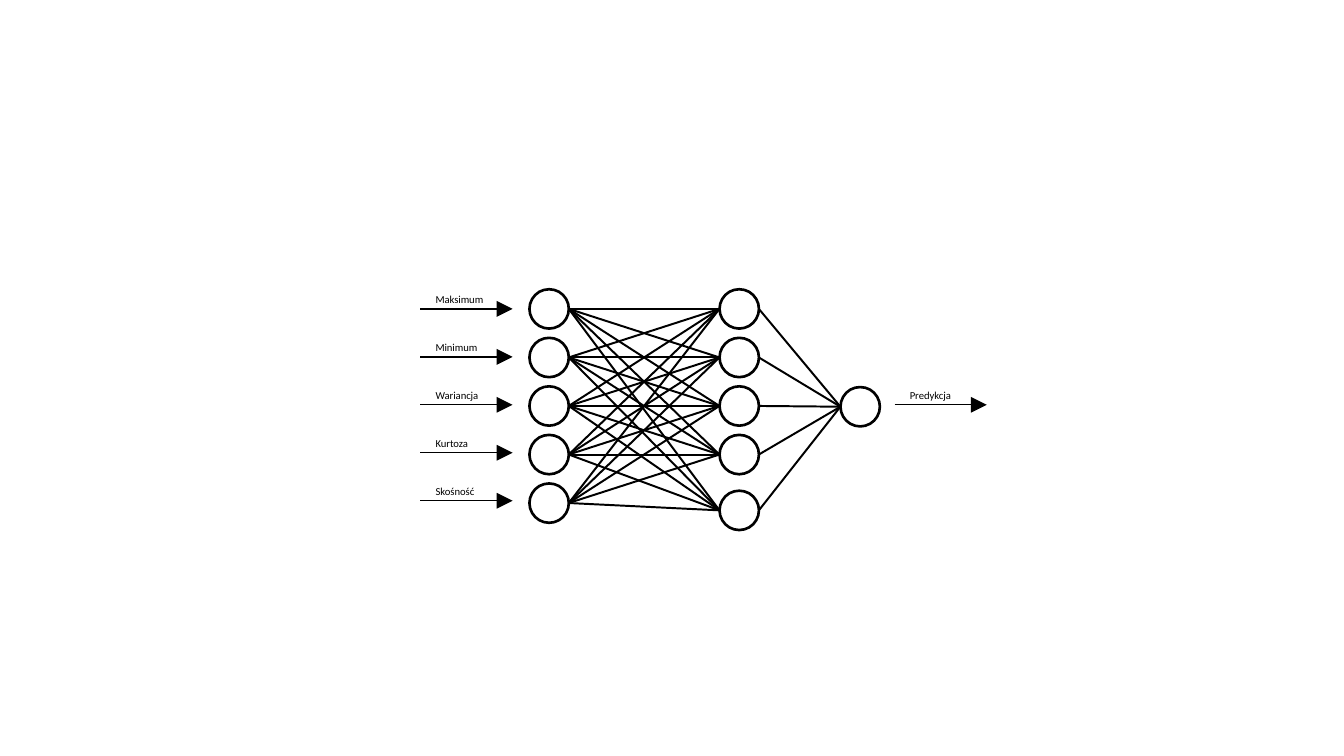
from dataclasses import dataclass

from lxml.etree import SubElement
from pptx import Presentation
from pptx.dml.color import RGBColor
from pptx.enum.shapes import MSO_CONNECTOR as Connector, MSO_SHAPE as Shape
from pptx.enum.text import MSO_AUTO_SIZE as AutoSize
from pptx.oxml.ns import qn
from pptx.util import Inches, Pt

BLACK = RGBColor(0x00, 0x00, 0x00)
WHITE = RGBColor(0xFF, 0xFF, 0xFF)

FONT = "Calibri"
DIAMETER = 0.205
RADIUS = DIAMETER / 2
ROW_GAP = 0.253
LABEL_GAP = 0.25
ARROW_LENGTH = 0.48


@dataclass(frozen=True)
class Neuron:
    """A network node, placed by its centre in inches."""

    x: float
    y: float


@dataclass(frozen=True)
class Signal:
    """A labelled arrow, placed by its start in inches."""

    label: str
    x: float
    y: float


def draw_neuron(slide, neuron: Neuron) -> None:
    """Draw a white circle with a black outline."""
    circle = slide.shapes.add_shape(
        Shape.OVAL, Inches(neuron.x - RADIUS), Inches(neuron.y - RADIUS),
        Inches(DIAMETER), Inches(DIAMETER))
    circle.shadow.inherit = False
    circle.fill.solid()
    circle.fill.fore_color.rgb = WHITE
    circle.line.color.rgb = BLACK
    circle.line.width = Pt(1)


def draw_line(slide, start: tuple[float, float], end: tuple[float, float],
              *, width: float, arrow: bool = False) -> None:
    """Draw a straight black line, with an arrowhead at its end if asked."""
    line = slide.shapes.add_connector(
        Connector.STRAIGHT, *(Inches(value) for value in (*start, *end)))
    line.line.color.rgb = BLACK
    line.line.width = Pt(width)
    if arrow:
        SubElement(line.line._get_or_add_ln(), qn("a:tailEnd"), type="triangle")
    SubElement(line._element.spPr, qn("a:effectLst"))


def draw_text(slide, text: str, left: float, top: float, *, size: float) -> None:
    """Write a one-line label in a text box."""
    box = slide.shapes.add_textbox(
        Inches(left), Inches(top), Inches(0.48), Inches(0.17))
    frame = box.text_frame
    frame.word_wrap = True
    frame.auto_size = AutoSize.SHAPE_TO_FIT_TEXT
    run = frame.paragraphs[0].add_run()
    run.text = text
    run.font.name = FONT
    run.font.size = Pt(size)
    run.font.color.rgb = BLACK


def draw_signal(slide, signal: Signal) -> None:
    """Draw an arrow with its label above."""
    draw_line(slide, (signal.x, signal.y), (signal.x + ARROW_LENGTH, signal.y),
              width=0.5, arrow=True)
    draw_text(slide, signal.label, signal.x - 0.02, signal.y - 0.13, size=4)


def connect_layers(slide, sources: list[Neuron], targets: list[Neuron]) -> None:
    """Join every source neuron to every target neuron."""
    for source in sources:
        for target in targets:
            draw_line(slide, (source.x + RADIUS, source.y),
                      (target.x - RADIUS, target.y), width=0.75)


def main() -> None:
    """Build the neural network slide."""
    presentation = Presentation()
    presentation.slide_width = Inches(7)
    presentation.slide_height = Inches(3.94)
    slide = presentation.slides.add_slide(presentation.slide_layouts[6])

    input_layer = [Neuron(2.86, 1.61 + row * ROW_GAP) for row in range(5)]
    hidden_layer = [Neuron(3.85, 1.61 + row * ROW_GAP) for row in range(4)]
    hidden_layer.append(Neuron(3.85, 2.66))
    output_layer = [Neuron(4.48, 2.12)]

    labels = ("Maksimum", "Minimum", "Wariancja", "Kurtoza", "Skośność")
    signals = [Signal(label, 2.19, 1.61 + row * LABEL_GAP)
               for row, label in enumerate(labels)]
    signals.append(Signal("Predykcja", 4.66, 2.11))

    connect_layers(slide, input_layer, hidden_layer)
    connect_layers(slide, hidden_layer, output_layer)
    for neuron in input_layer + hidden_layer + output_layer:
        draw_neuron(slide, neuron)
    for signal in signals:
        draw_signal(slide, signal)

    presentation.save("out.pptx")


main()
